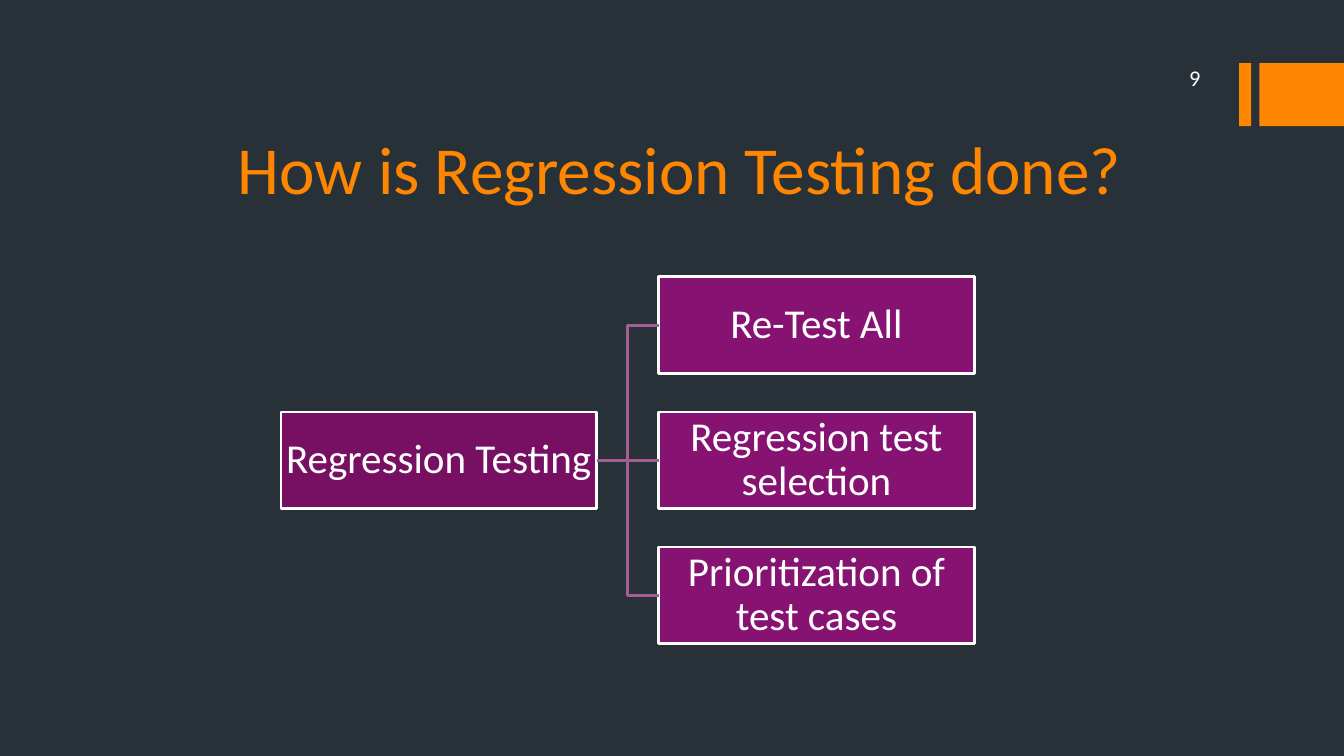
import pptx
import pptx.util
import pptx.dml.color
import pptx.enum.shapes
import pptx.enum.text
import pptx.oxml

Inches, Pt = pptx.util.Inches, pptx.util.Pt
PP_ALIGN, ANCHOR = pptx.enum.text.PP_ALIGN, pptx.enum.text.MSO_ANCHOR
RECTANGLE = pptx.enum.shapes.MSO_SHAPE.RECTANGLE
CONNECTOR = pptx.enum.shapes.MSO_CONNECTOR

THEME = {
    "font": "Calibri",
    "background": "283138", "accent": "FF8600", "text": "FFFFFF",
    "root": "771063", "branch": "861271", "link": "A35F91",
    "title_size": 36, "box_size": 22, "number_size": 12, "line": 1.5,
}


def color(name):
    return pptx.dml.color.RGBColor.from_string(THEME[name])


def write(shape, text, size, ink, align, anchor, margin=None):
    frame = shape.text_frame
    frame.text = text
    frame.word_wrap = True
    frame.vertical_anchor = anchor
    if margin is not None:
        frame.margin_left = frame.margin_right = Inches(margin)
        frame.margin_top = frame.margin_bottom = Inches(margin)
    paragraph = frame.paragraphs[0]
    paragraph.alignment = align
    font = paragraph.runs[0].font
    font.name, font.size = THEME["font"], Pt(THEME[size])
    font.color.rgb = color(ink)
    return paragraph


# Widescreen 16:9 slide
deck = pptx.Presentation()
deck.slide_width, deck.slide_height = Inches(10), Inches(10 * 9 / 16)
slide = deck.slides.add_slide(deck.slide_layouts[5])
slide.background.fill.solid()
slide.background.fill.fore_color.rgb = color("background")
shapes = slide.shapes

# Corner bars
for left, width in ((9.22, 0.09), (9.37, 0.63)):
    bar = shapes.add_shape(RECTANGLE, Inches(left), Inches(0.47), Inches(width), Inches(0.47))
    bar.shadow.inherit = False
    bar.fill.solid()
    bar.fill.fore_color.rgb = color("accent")
    bar.line.fill.background()

# Title and page number
title = shapes.title
title.left, title.top = Inches(1.67), Inches(0.65)
title.width, title.height = Inches(7.17), Inches(0.95)
write(title, "How is Regression Testing done?", "title_size", "accent",
      PP_ALIGN.LEFT, ANCHOR.BOTTOM)
page_number = shapes.add_textbox(Inches(8), Inches(0.45), Inches(1.03), Inches(0.25))
write(page_number, "9", "number_size", "text", PP_ALIGN.RIGHT, ANCHOR.MIDDLE)

# Tree boxes on a grid: text, column, row, fill
GRID_LEFT, GRID_TOP, COLUMN_STEP, ROW_STEP = 2.09, 2.06, 2.81, 2.01 / 2
BOX_WIDTH, BOX_HEIGHT = 2.35, 0.72
tree = (
    ("Regression Testing", 0, 1, "root"),
    ("Re-Test All", 1, 0, "branch"),
    ("Regression test selection", 1, 1, "branch"),
    ("Prioritization of test cases", 1, 2, "branch"),
)
boxes = []
for text, column, row, fill in tree:
    box = shapes.add_shape(
        RECTANGLE, Inches(GRID_LEFT + column * COLUMN_STEP),
        Inches(GRID_TOP + row * ROW_STEP), Inches(BOX_WIDTH), Inches(BOX_HEIGHT))
    box.shadow.inherit = False
    box.fill.solid()
    box.fill.fore_color.rgb = color(fill)
    box.line.color.rgb = color("text")
    box.line.width = Pt(THEME["line"])
    label = write(box, text, "box_size", "text", PP_ALIGN.CENTER, ANCHOR.MIDDLE, 0.02)
    label.line_spacing = 0.9
    boxes.append(box)

# Links from the root's right side to each branch's left side
RIGHT_SITE, LEFT_SITE = 3, 1
root, *branches = boxes
for branch in branches:
    kind = CONNECTOR.STRAIGHT if branch.top == root.top else CONNECTOR.ELBOW
    link = shapes.add_connector(kind, 0, 0, 0, 0)
    link.begin_connect(root, RIGHT_SITE)
    link.end_connect(branch, LEFT_SITE)
    link.line.color.rgb = color("link")
    link.line.width = Pt(THEME["line"])
    link._element.spPr.append(pptx.oxml.parse_xml(
        '<a:effectLst xmlns:a="http://schemas.openxmlformats.org/drawingml/2006/main"/>'))

deck.save("out.pptx")
